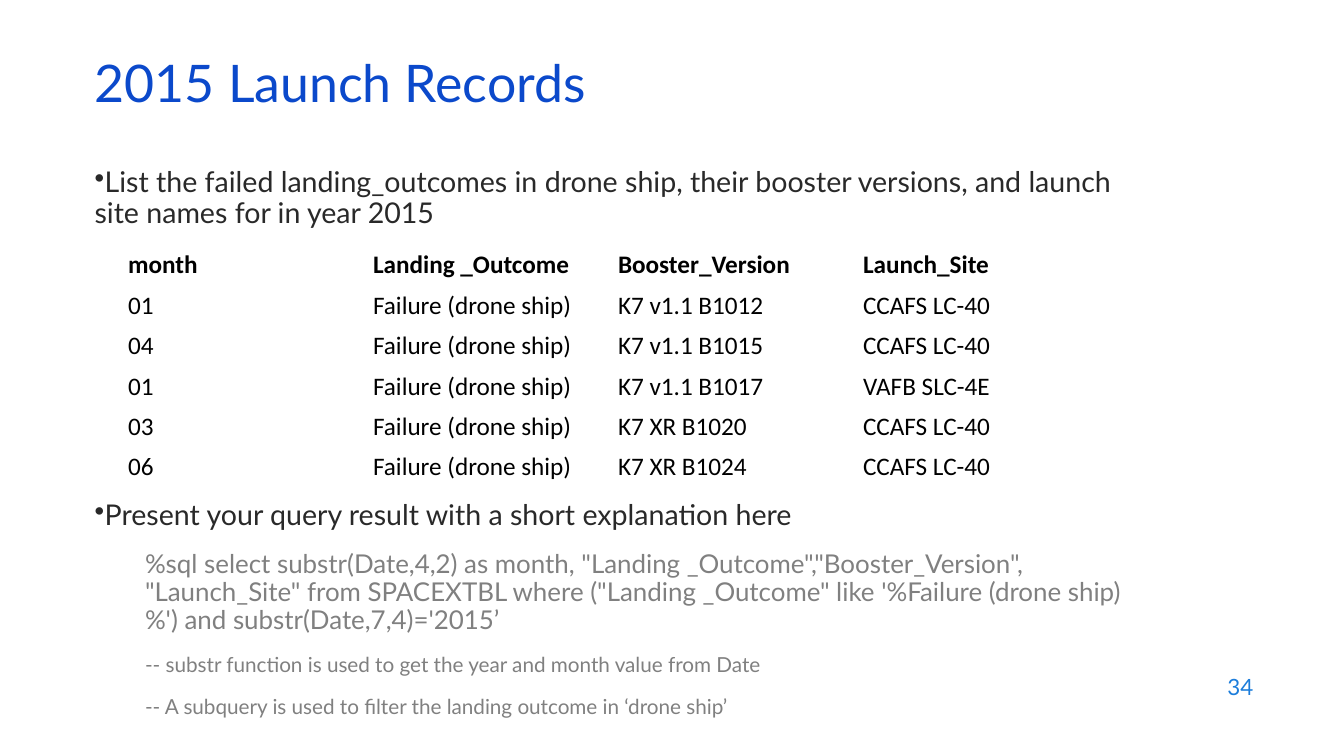
from dataclasses import dataclass

from lxml import etree
from pptx import Presentation
from pptx import util as u
from pptx.dml.color import RGBColor
from pptx.enum import text
from pptx.oxml import ns

PX = 9144  # EMU per px, 100 px to the inch
BODY_FONT, TABLE_FONT = "Lato", "Calibri"
TITLE_BLUE, NUMBER_BLUE = "0B49CB", "1C7DDB"
DARK, GREY, BLACK, WHITE = "292929", "808080", "000000", "FFFFFF"


@dataclass
class Box:
    left: int
    top: int
    width: int
    height: int

    def emu(self) -> list[int]:
        return [n * PX for n in (self.left, self.top, self.width, self.height)]


@dataclass
class Line:
    words: str
    size: float
    color: str
    bullet: bool = False
    indent: int = 0


def rgb(color: str) -> RGBColor:
    return RGBColor.from_string(color)


def write(paragraph, words: str, *, size: float, color: str, font: str = BODY_FONT,
          bold: bool = False, align=text.PP_ALIGN.LEFT, spacing: float = 1.0,
          before: float = 0, bullet: bool = False, indent: int = 0) -> None:
    paragraph.alignment = align
    paragraph.line_spacing = spacing
    paragraph.space_before = u.Pt(before)
    props = paragraph._p.get_or_add_pPr()
    props.set("marL", str(indent * PX))
    props.set("indent", "0")
    if bullet:
        etree.SubElement(props, ns.qn("a:buChar")).set("char", "•")
    run = paragraph.add_run()
    run.text = words
    run.font.name, run.font.size, run.font.bold = font, u.Pt(size), bold
    run.font.color.rgb = rgb(color)


def add_lines(slide, box: Box, lines: list[Line]) -> None:
    frame = slide.shapes.add_textbox(*box.emu()).text_frame
    frame.word_wrap = True
    for i, line in enumerate(lines):
        paragraph = frame.add_paragraph() if i else frame.paragraphs[0]
        write(paragraph, line.words, size=line.size, color=line.color, spacing=0.9,
              before=14 if i else 0, bullet=line.bullet, indent=line.indent)


def add_records(slide, box: Box, records: list[tuple[str, ...]]) -> None:
    table = slide.shapes.add_table(len(records), len(records[0]), *box.emu()).table
    table.first_row = table.horz_banding = False
    for r, record in enumerate(records):
        for c, value in enumerate(record):
            cell = table.cell(r, c)
            cell.fill.solid()
            cell.fill.fore_color.rgb = rgb(WHITE)
            cell.vertical_anchor = text.MSO_ANCHOR.MIDDLE
            write(cell.text_frame.paragraphs[0], value, size=18, color=BLACK,
                  font=TABLE_FONT, bold=r == 0)


TASK = [Line("List the failed landing_outcomes in drone ship, their booster versions, "
             "and launch site names for in year 2015", 20.4, DARK, bullet=True)]

FAILURE = "Failure (drone ship)"
RECORDS = [
    ("month", "Landing _Outcome", "Booster_Version", "Launch_Site"),
    ("01", FAILURE, "K7 v1.1 B1012", "CCAFS LC-40"),
    ("04", FAILURE, "K7 v1.1 B1015", "CCAFS LC-40"),
    ("01", FAILURE, "K7 v1.1 B1017", "VAFB SLC-4E"),
    ("03", FAILURE, "K7 XR B1020", "CCAFS LC-40"),
    ("06", FAILURE, "K7 XR B1024", "CCAFS LC-40"),
]

EXPLANATION = [
    Line("Present your query result with a short explanation here", 20.4, DARK, bullet=True),
    Line("%sql select substr(Date,4,2) as month, \"Landing _Outcome\",\"Booster_Version\", "
         "\"Launch_Site\" from SPACEXTBL where (\"Landing _Outcome\" like "
         "'%Failure (drone ship)%') and substr(Date,7,4)='2015’", 18.5, GREY, indent=50),
    Line("-- substr function is used to get the year and month value from Date",
         14.8, GREY, indent=50),
    Line("-- A subquery is used to filter the landing outcome in ‘drone ship’",
         14.8, GREY, indent=50),
]


def main() -> None:
    prs = Presentation()
    prs.slide_width, prs.slide_height = 1333 * PX, 750 * PX
    slide = prs.slides.add_slide(prs.slide_layouts[5])

    # Title
    title = slide.shapes.title
    title.left, title.top, title.width, title.height = Box(84, 59, 1150, 60).emu()
    title.text_frame.auto_size = text.MSO_AUTO_SIZE.NONE
    title.text_frame.vertical_anchor = text.MSO_ANCHOR.MIDDLE
    write(title.text_frame.paragraphs[0], "2015 Launch Records", size=37,
          color=TITLE_BLUE, spacing=0.7)

    # Task, query result and explanation
    add_lines(slide, Box(84, 162, 1066, 75), TASK)
    add_records(slide, Box(117, 243, 972, 240), RECORDS)
    add_lines(slide, Box(84, 492, 1066, 237), EXPLANATION)

    # Page number
    number = slide.shapes.add_textbox(*Box(953, 659, 300, 44).emu()).text_frame
    number.word_wrap = True
    number.vertical_anchor = text.MSO_ANCHOR.MIDDLE
    write(number.paragraphs[0], "34", size=16, color=NUMBER_BLUE,
          align=text.PP_ALIGN.RIGHT)

    prs.save("out.pptx")


if __name__ == "__main__":
    main()
